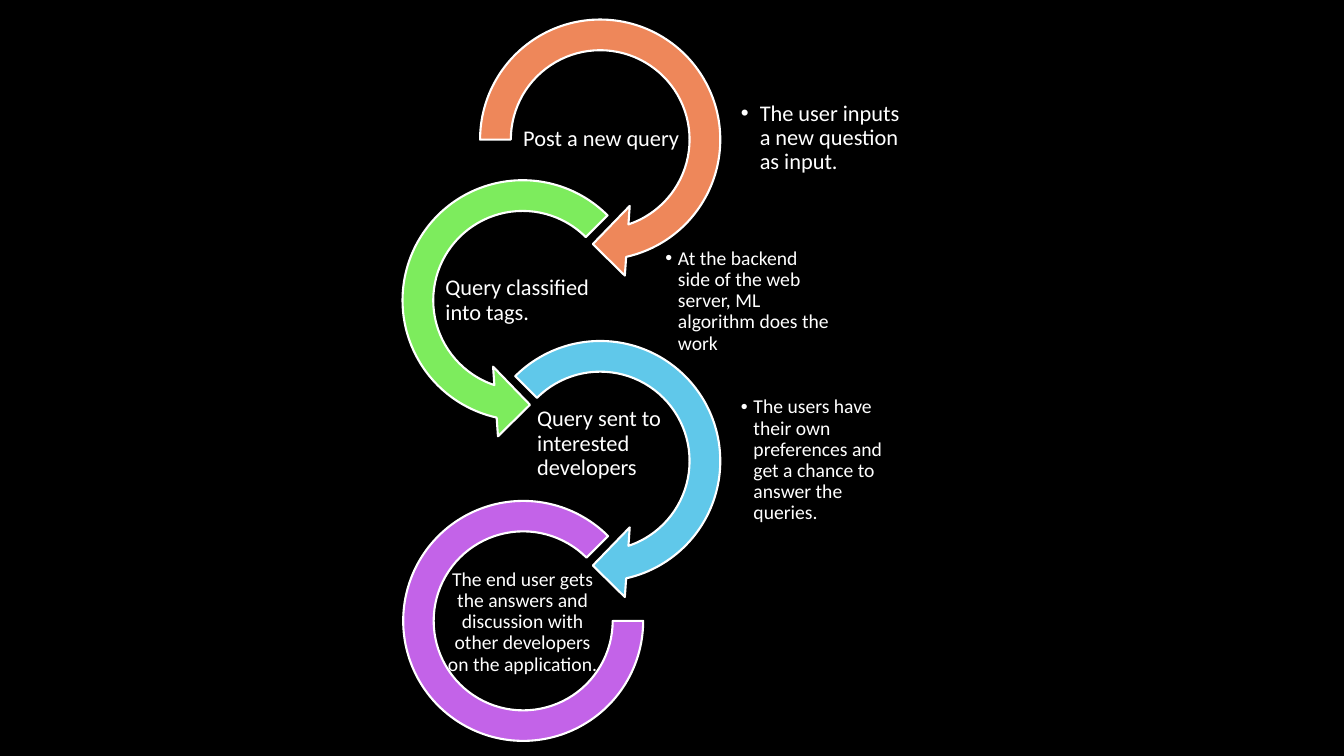
from lxml.etree import SubElement as Sub
from pptx import Presentation
from pptx.dml.color import RGBColor as RGB
from pptx.enum.shapes import MSO_SHAPE as Kind
from pptx.enum.text import MSO_ANCHOR as Anchor, MSO_AUTO_SIZE as Fit, PP_ALIGN as Align
from pptx.oxml.ns import qn
from pptx.util import Pt

BLACK = RGB(0x00, 0x00, 0x00)
WHITE = RGB(0xFF, 0xFF, 0xFF)
ORANGE = RGB(0xEE, 0x87, 0x5A)
GREEN = RGB(0x7D, 0xEC, 0x5D)
BLUE = RGB(0x60, 0xC8, 0xEA)
PURPLE = RGB(0xC3, 0x63, 0xE8)

FONT = "Calibri"
COMPARE = 4
RING = 199.5
STEP = 114.8
LEFT, RIGHT = 273.6, 329


def place(shape, left, top, width, height):
    """Move and size a shape, in points."""
    shape.left, shape.top = Pt(left), Pt(top)
    shape.width, shape.height = Pt(width), Pt(height)


def add_ring(slide, kind, box, adjust, color):
    """Draw one ring of the chain."""
    ring = slide.shapes.add_shape(kind, *map(Pt, box))
    for i, value in enumerate(adjust):
        ring.adjustments[i] = value
    ring.shadow.inherit = False
    ring.fill.solid()
    ring.fill.fore_color.rgb = color
    ring.line.color.rgb = WHITE
    ring.line.width = Pt(1.5)


def set_text(shape, text, size, after, align=Align.LEFT, indent=0):
    """Fill a shape with one paragraph, bulleted when indented."""
    frame = shape.text_frame
    frame.word_wrap = True
    frame.auto_size = Fit.NONE
    frame.vertical_anchor = Anchor.MIDDLE
    frame.margin_left = frame.margin_right = Pt(0.7)
    frame.margin_top = frame.margin_bottom = Pt(0.7)
    frame.text = text
    para = frame.paragraphs[0]
    if indent:
        para.level = 1
        props = para._p.get_or_add_pPr()
        props.set("marL", str(Pt(indent)))
        props.set("indent", str(-Pt(indent)))
        Sub(props, qn("a:buFont"), typeface="Arial")
        Sub(props, qn("a:buChar"), char="•")
    para.alignment = align
    para.line_spacing = 0.9
    para.space_before = Pt(0)
    para.space_after = Pt(size * after)
    font = para.font
    font.name, font.size, font.bold = FONT, Pt(size), False
    font.color.rgb = WHITE


def add_label(slide, text, left, top, width, size, align):
    """Write the label inside a ring."""
    box = slide.shapes.add_textbox(Pt(left), Pt(top), Pt(width), Pt(55.4))
    set_text(box, text, size, 0.35, align)


def fill_note(holder, text, left, top, size, indent):
    """Turn a body placeholder into the bulleted note beside a ring."""
    place(holder, left, top, 119.5, 79.2)
    set_text(holder, text, size, 0.15, indent=indent)


def main():
    """Build the slide and save it."""
    deck = Presentation()
    deck.slide_width, deck.slide_height = Pt(960), Pt(540)
    slide = deck.slides.add_slide(deck.slide_layouts[COMPARE])
    slide.background.fill.solid()
    slide.background.fill.fore_color.rgb = BLACK

    arrows = [
        (Kind.CIRCULAR_ARROW, RIGHT, 45, 108, ORANGE),
        (Kind.LEFT_CIRCULAR_ARROW, LEFT, 63, 189, GREEN),
        (Kind.CIRCULAR_ARROW, RIGHT, 45, 135, BLUE),
    ]
    for row, (kind, left, end, start, color) in enumerate(arrows):
        adjust = (0.11, 11.42, end, start, 0.125)
        add_ring(slide, kind, (left, row * STEP, RING, RING), adjust, color)
    add_ring(slide, Kind.BLOCK_ARC, (288, 357.8, 171.4, 171.4), (0, 189, 0.127), PURPLE)

    labels = [
        ("Post a new query", 352.8, 72, 153.4, 16, Align.CENTER),
        ("Query classified into tags.", 317.5, 187.2, 111.6, 16, Align.LEFT),
        ("Query sent to interested developers", 383, 289.4, 111.6, 16, Align.LEFT),
        ("The end user gets the answers and discussion with other developers "
         "on the application.", 317.5, 416.9, 111.6, 14, Align.CENTER),
    ]
    for label in labels:
        add_label(slide, *label)

    notes = [
        ("The user inputs a new question as input.", 528.5, 59, 16, 13.5),
        ("At the backend side of the web server, ML algorithm does the work",
         474.5, 175.7, 14, 9),
        ("The users have their own preferences and get a chance to answer "
         "the queries.", 528.5, 289.4, 14, 9),
    ]
    title, *bodies = slide.placeholders
    for holder, note in zip(bodies, notes):
        fill_note(holder, *note)
    for spare in (title, bodies[-1]):
        spare.element.getparent().remove(spare.element)

    deck.save("out.pptx")


if __name__ == "__main__":
    main()
